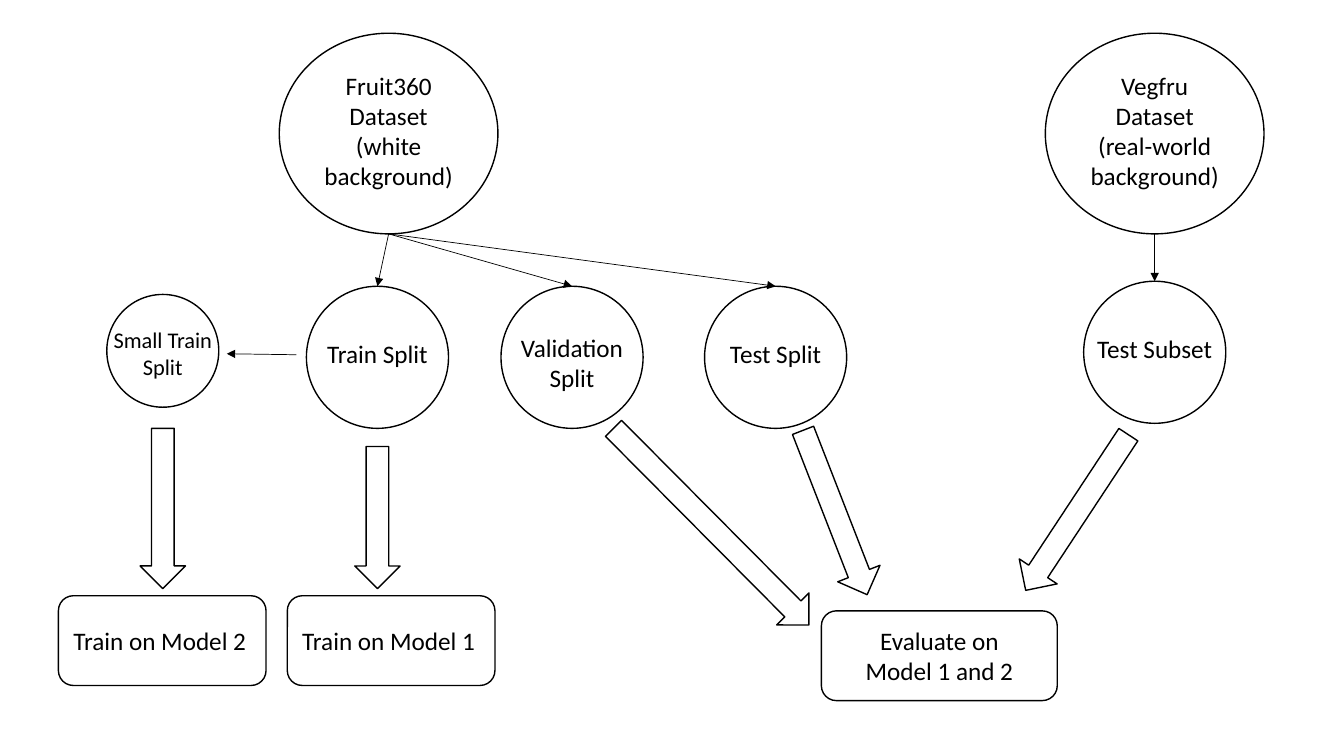
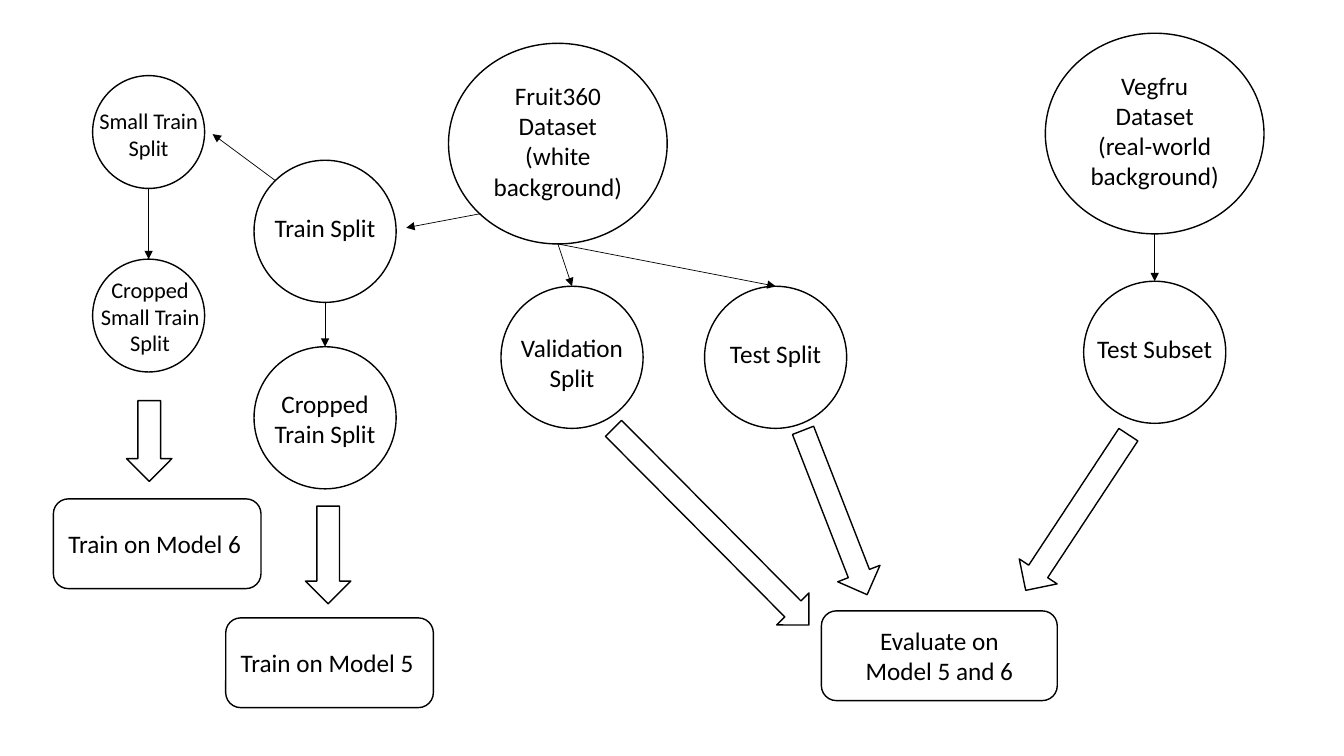
from dataclasses import dataclass
from pptx import Presentation
from pptx.dml.color import RGBColor
from pptx.enum.shapes import MSO_CONNECTOR, MSO_SHAPE as SHAPE
from pptx.enum.text import MSO_AUTO_SIZE, PP_ALIGN
from pptx.oxml.ns import qn
from pptx.slide import Slide
from pptx.util import Pt
from lxml.etree import SubElement

COLORS = {"ink": "000000"}
FONT = "Calibri"
BLOCK_HEIGHT = 32.4


@dataclass(frozen=True)
class Style:
    shape: SHAPE
    width: float
    height: float
    label_width: float
    size: int = 18


DATASET = Style(SHAPE.OVAL, 156.2, 143.3, 116)
SPLIT = Style(SHAPE.OVAL, 101.5, 101.5, 116)
SMALL = Style(SHAPE.OVAL, 80, 80.6, 91.4, 16)
MODEL = Style(SHAPE.ROUNDED_RECTANGLE, 148.3, 64.1, 166.3)
EVALUATION = Style(SHAPE.ROUNDED_RECTANGLE, 168.5, 64.1, 147.6)


@dataclass(frozen=True)
class Node:
    style: Style
    x: float
    y: float
    text: str
    lines: int = 1
    shift_x: float = 0
    shift_y: float = 0

    @property
    def top(self) -> tuple[float, float]:
        return self.x, self.y - self.style.height / 2

    @property
    def bottom(self) -> tuple[float, float]:
        return self.x, self.y + self.style.height / 2


@dataclass(frozen=True)
class BlockArrow:
    x: float
    y: float
    length: float
    rotation: float = 90


@dataclass(frozen=True)
class Link:
    start: tuple[float, float]
    end: tuple[float, float]


def color(name: str) -> RGBColor:
    return RGBColor.from_string(COLORS[name])


def add_text(s: Slide, text: str, *, x: float, y: float, width: float,
             lines: int, size: int) -> None:
    height = lines * size * 1.22 + 7.2
    box = s.shapes.add_textbox(Pt(x - width / 2), Pt(y - height / 2),
                               Pt(width), Pt(height))
    tf = box.text_frame
    tf.word_wrap = True
    tf.auto_size = MSO_AUTO_SIZE.SHAPE_TO_FIT_TEXT
    for i, line in enumerate(text.split("\n")):
        p = tf.add_paragraph() if i else tf.paragraphs[0]
        p.alignment = PP_ALIGN.CENTER
        r = p.add_run()
        r.text = line
        r.font.name = FONT
        r.font.size = Pt(size)
        r.font.color.rgb = color("ink")


def add_outline(s: Slide, shape: SHAPE, x: float, y: float, width: float,
                height: float, rotation: float = 0) -> None:
    sp = s.shapes.add_shape(shape, Pt(x - width / 2), Pt(y - height / 2),
                            Pt(width), Pt(height))
    sp.rotation = rotation
    sp.shadow.inherit = False
    sp.fill.background()
    sp.line.color.rgb = color("ink")
    sp.line.width = Pt(1)


def add_node(s: Slide, node: Node) -> None:
    style = node.style
    add_outline(s, style.shape, node.x, node.y, style.width, style.height)
    add_text(s, node.text, x=node.x + node.shift_x, y=node.y + node.shift_y,
             width=style.label_width, lines=node.lines, size=style.size)


def add_link(s: Slide, link: Link) -> None:
    points = [Pt(v) for v in (*link.start, *link.end)]
    line = s.shapes.add_connector(MSO_CONNECTOR.STRAIGHT, *points)
    line.line.color.rgb = color("ink")
    line.line.width = Pt(0.5)
    SubElement(line.line._get_or_add_ln(), qn("a:tailEnd"), type="triangle")
    SubElement(line._element.spPr, qn("a:effectLst"))


def dataset(x: float, y: float, name: str, background: str) -> Node:
    return Node(DATASET, x, y, f"{name} Dataset\n({background} background)", 4, shift_y=-1.4)


def split(x: float, y: float, text: str) -> Node:
    return Node(SPLIT, x, y, text, shift_y=-2.5)


def small_split(x: float, y: float) -> Node:
    return Node(SMALL, x, y, "Small Train Split", 2, shift_y=2)


def model(x: float, y: float, number: int) -> Node:
    return Node(MODEL, x, y, f"Train on Model {number}", shift_x=-1.8)


def evaluation(first: int, second: int) -> Node:
    return Node(EVALUATION, 671, 468.4, f"Evaluate on Model {first} and {second}", 2)


VEGFRU = dataset(824.8, 95.4, "Vegfru", "real-world")
SUBSET = split(824.8, 251.6, "Test Subset")
VALIDATION = Node(SPLIT, 408.6, 255.2, "Validation Split", 2, shift_y=4.3)
TEST = split(554, 255.2, "Test Split")
SHARED_NODES = [VEGFRU, SUBSET, VALIDATION, TEST]
SHARED_ARROWS = [
    BlockArrow(769.3, 366.1, 133.2, 123.4),
    BlockArrow(508, 376.2, 198, 45.2),
    BlockArrow(596.5, 366.1, 126, 68.7),
]


def build_slide(prs: Presentation, fruit: Node, nodes: list[Node],
                arrows: list[BlockArrow], links: list[Link]) -> None:
    s = prs.slides.add_slide(prs.slide_layouts[6])
    for node in [fruit, *SHARED_NODES, *nodes]:
        add_node(s, node)
    for arrow in SHARED_ARROWS + arrows:
        add_outline(s, SHAPE.RIGHT_ARROW, arrow.x, arrow.y, arrow.length,
                    BLOCK_HEIGHT, arrow.rotation)
    shared_links = [Link(VEGFRU.bottom, SUBSET.top)]
    shared_links += [Link(fruit.bottom, n.top) for n in (VALIDATION, TEST)]
    for link in shared_links + links:
        add_link(s, link)


prs = Presentation()
prs.slide_width, prs.slide_height = Pt(960), Pt(540)

fruit = dataset(277.6, 95.4, "Fruit360", "white")
train = split(269.6, 255.2, "Train Split")
build_slide(
    prs, fruit,
    [train, small_split(116.3, 250.6), model(279.4, 457.6, 1),
     model(115.9, 457.6, 2), evaluation(1, 2)],
    [BlockArrow(269.6, 369.7, 101.5), BlockArrow(116.3, 363.2, 114.5)],
    [Link(fruit.bottom, train.top), Link((211.7, 253.4), (162, 252.7))],
)

fruit = dataset(398.5, 102.6, "Fruit360", "white")
train = split(232.2, 165.2, "Train Split")
small = small_split(106.2, 94.3)
cropped = Node(SPLIT, 232.2, 298.4, "Cropped Train Split", 2, shift_y=0.7)
cropped_small = Node(SMALL, 106.2, 225.4, "Cropped Small Train Split", 3,
                     shift_x=1, shift_y=1)
build_slide(
    prs, fruit,
    [train, small, cropped, cropped_small, model(235.4, 473.4, 5),
     model(112.3, 388.4, 6), evaluation(5, 6)],
    [BlockArrow(234.4, 396.4, 69.8), BlockArrow(106.6, 315, 57.6)],
    [Link((343.4, 152.6), (290.2, 162.7)), Link((196.6, 128.9), (151.9, 95.8)),
     Link(train.bottom, cropped.top), Link(small.bottom, cropped_small.top)],
)

prs.save("out.pptx")
